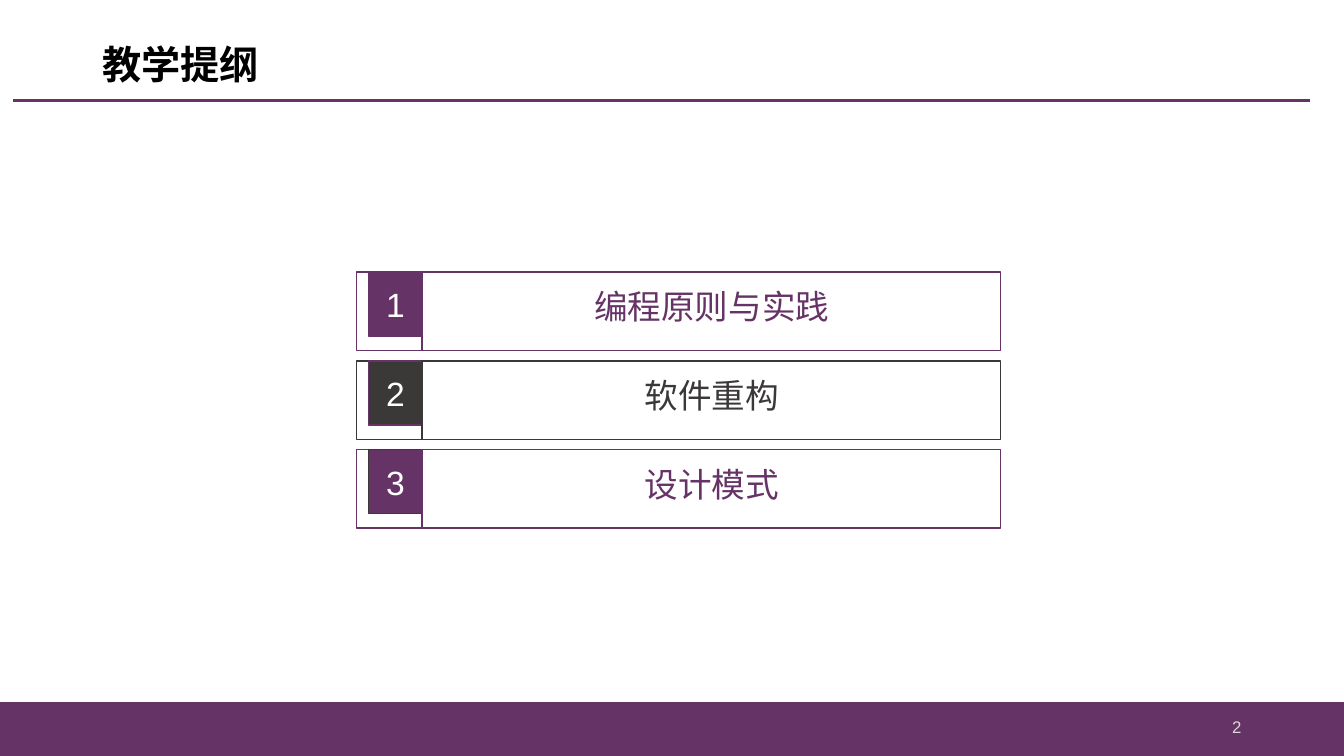
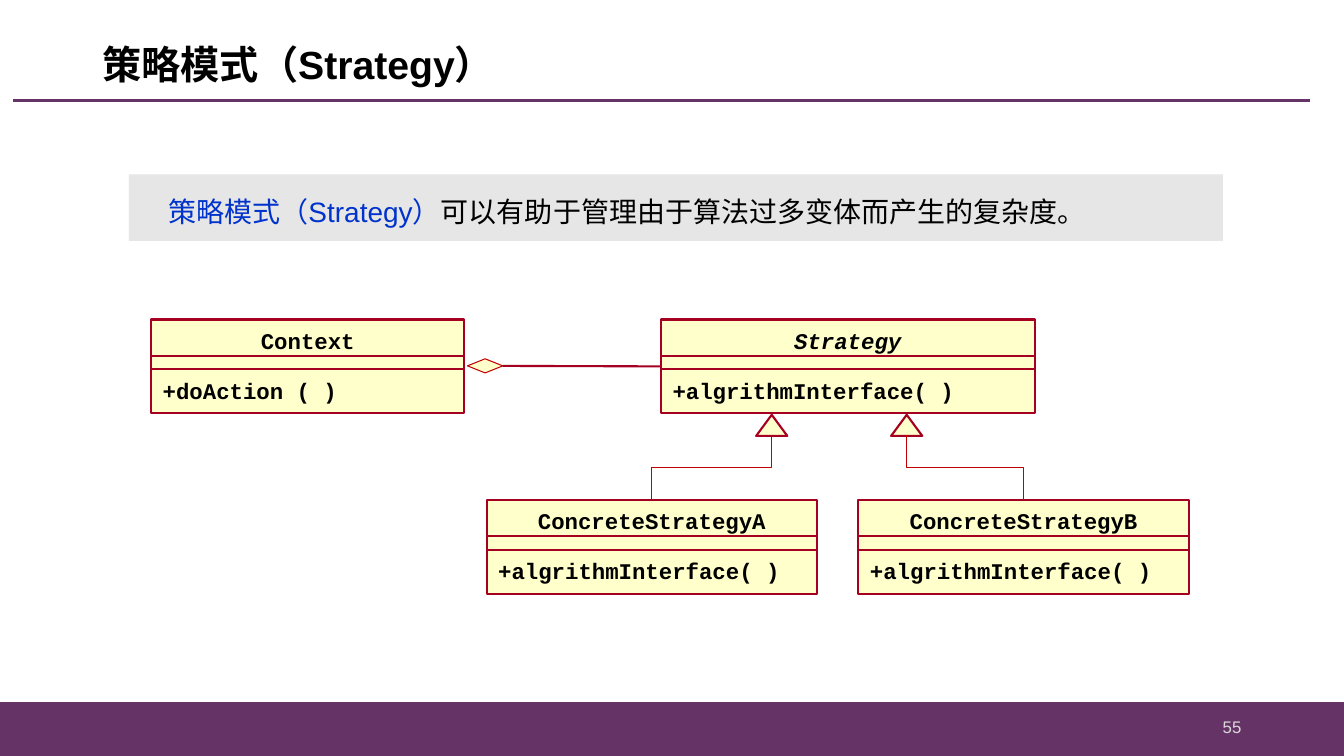
"""Build the teaching outline and Strategy pattern slides on a grid of tenth-inch cells."""
from dataclasses import dataclass

from lxml import etree
from pptx import Presentation
from pptx import util as u
from pptx.dml.color import RGBColor
from pptx.enum import shapes, text
from pptx.oxml import ns

CELL = u.Inches(0.1)
COLUMNS, ROWS = 133.4, 75

PURPLE = RGBColor(0x66, 0x33, 0x66)
CHARCOAL = RGBColor(0x3B, 0x38, 0x38)
BLACK = RGBColor(0x00, 0x00, 0x00)
WHITE = RGBColor(0xFF, 0xFF, 0xFF)
PALE_GREY = RGBColor(0xD9, 0xD9, 0xD9)
PANEL_GREY = RGBColor(0xE7, 0xE6, 0xE6)
CREAM = RGBColor(0xFF, 0xFF, 0xCC)
CRIMSON = RGBColor(0xA5, 0x00, 0x21)
RED = RGBColor(0xC0, 0x00, 0x00)
BLUE = RGBColor(0x00, 0x33, 0xCC)

RECT = shapes.MSO_SHAPE.RECTANGLE
STRAIGHT = shapes.MSO_CONNECTOR.STRAIGHT
ELBOW = shapes.MSO_CONNECTOR.ELBOW
TOP, MIDDLE = text.MSO_ANCHOR.TOP, text.MSO_ANCHOR.MIDDLE
LEFT, CENTER = text.PP_ALIGN.LEFT, text.PP_ALIGN.CENTER
RIGHT, JUSTIFY = text.PP_ALIGN.RIGHT, text.PP_ALIGN.JUSTIFY


@dataclass(frozen=True)
class Area:
    """A rectangle in grid columns and rows."""
    col: float
    row: float
    cols: float
    rows: float


@dataclass(frozen=True)
class Style:
    """How a paragraph is set."""
    size: float
    font: str = "Arial"
    bold: bool = False
    italic: bool = False
    align: text.PP_ALIGN = LEFT
    anchor: text.MSO_ANCHOR = TOP
    spacing: float = 1.0
    inset_x: float = 1.0
    inset_y: float = 0.5


@dataclass(frozen=True)
class Chapter:
    """One row of the outline."""
    name: str
    color: RGBColor
    badge_edge: RGBColor


@dataclass(frozen=True)
class UmlClass:
    """One class box of the diagram."""
    name: str
    method: str
    col: float
    row: float
    cols: float
    abstract: bool = False


@dataclass(frozen=True)
class Inheritance:
    """A path from a base class down to the middle of a subclass."""
    base_col: float
    child_col: float


PAGE_STYLE = Style(12, align=RIGHT, anchor=MIDDLE)
BADGE_STYLE = Style(24, align=CENTER, anchor=MIDDLE)
CHAPTER_STYLE = Style(24, "Calibri", align=CENTER)
METHOD_STYLE = Style(16, "Courier New", bold=True, align=JUSTIFY, inset_x=0, inset_y=0.1)
DEFINITION_STYLE = Style(20, align=JUSTIFY, spacing=1.2, inset_x=3.9, inset_y=1.3)

CHAPTERS = [
    Chapter("编程原则与实践", PURPLE, PURPLE),
    Chapter("软件重构", CHARCOAL, PURPLE),
    Chapter("设计模式", PURPLE, CHARCOAL),
]
CONTEXT = UmlClass("Context", "+doAction ( )", 15, 31.7, 31.1)
STRATEGY = UmlClass("Strategy", "+algrithmInterface( )", 65.6, 31.7, 37.1, abstract=True)
CONCRETE = [
    UmlClass("ConcreteStrategyA", STRATEGY.method, 48.3, 49.6, 32.8),
    UmlClass("ConcreteStrategyB", STRATEGY.method, 85.2, 49.6, 32.8),
]
INHERITANCES = [Inheritance(76.6, 64.7), Inheritance(90, 101.6)]


def cells(count: float) -> u.Emu:
    """Turn grid cells into a length."""
    return u.Emu(round(count * CELL))


def place(area: Area) -> tuple[u.Emu, ...]:
    """Give left, top, width and height of an area."""
    return tuple(cells(n) for n in (area.col, area.row, area.cols, area.rows))


def write(shape, words: list[tuple[str, RGBColor]], style: Style) -> None:
    """Write one paragraph of coloured runs into a shape."""
    frame = shape.text_frame
    frame.word_wrap = True
    frame.vertical_anchor = style.anchor
    frame.margin_left = frame.margin_right = cells(style.inset_x)
    frame.margin_top = frame.margin_bottom = cells(style.inset_y)
    paragraph = frame.paragraphs[0]
    paragraph.alignment = style.align
    paragraph.line_spacing = style.spacing
    for wording, color in words:
        run = paragraph.add_run()
        run.text = wording
        run.font.name, run.font.size = style.font, u.Pt(style.size)
        run.font.bold, run.font.italic = style.bold, style.italic
        run.font.color.rgb = color


def add_label(slide, area: Area, wording: str, color: RGBColor, style: Style) -> None:
    """Add a text box holding one run."""
    write(slide.shapes.add_textbox(*place(area)), [(wording, color)], style)


def add_figure(slide, area: Area, fill: RGBColor | None, edge: RGBColor | None,
               width: float = 1, kind: shapes.MSO_SHAPE = RECT):
    """Add a preset shape with an optional fill and edge."""
    figure = slide.shapes.add_shape(kind, *place(area))
    figure.shadow.inherit = False
    if fill is None:
        figure.fill.background()
    else:
        figure.fill.solid()
        figure.fill.fore_color.rgb = fill
    if edge is None:
        figure.line.fill.background()
    else:
        figure.line.color.rgb = edge
        figure.line.width = u.Pt(width)
    return figure


def add_line(slide, start: tuple[float, float], end: tuple[float, float],
             color: RGBColor, width: float, kind: shapes.MSO_CONNECTOR = STRAIGHT):
    """Add a connector between two grid points."""
    line = slide.shapes.add_connector(kind, *(cells(n) for n in (*start, *end)))
    line.line.color.rgb = color
    line.line.width = u.Pt(width)
    etree.SubElement(line._element.spPr, ns.qn("a:effectLst"))
    return line


def add_page(deck, title: str, number: int, font: str = "Arial"):
    """Add a slide with the shared band, rule, title and page number."""
    slide = deck.slides.add_slide(deck.slide_layouts[6])
    add_figure(slide, Area(0, 69.7, COLUMNS, ROWS - 69.7), PURPLE, PURPLE)
    add_line(slide, (1.3, 10), (130, 10), PURPLE, 2.25)
    title_style = Style(28, font, bold=True, anchor=MIDDLE, spacing=0.9)
    add_label(slide, Area(9.2, 3, 115, 7.3), title, BLACK, title_style)
    add_label(slide, Area(94.2, 70.1, 30, 4), str(number), PALE_GREY, PAGE_STYLE)
    return slide


def add_chapter(slide, index: int, chapter: Chapter) -> None:
    """Draw one numbered row of the outline."""
    row = 27 + 8.8 * index
    add_figure(slide, Area(35.4, row, 6.5, 7.8), None, chapter.color)
    badge = add_figure(slide, Area(36.6, row, 5.3, 6.35), chapter.color, chapter.badge_edge)
    write(badge, [(str(index + 1), WHITE)], BADGE_STYLE)
    add_label(slide, Area(51.6, row + 0.9, 38.1, 5), chapter.name, chapter.color, CHAPTER_STYLE)
    add_figure(slide, Area(41.9, row, 57.4, 7.8), None, chapter.color)


def add_class(slide, uml: UmlClass):
    """Draw a class box with its name, two dividers and method."""
    box = add_figure(slide, Area(uml.col, uml.row, uml.cols, 9.3), CREAM, CRIMSON, 1.5)
    name_style = Style(16, "Courier New", bold=True, italic=uml.abstract,
                       align=CENTER, spacing=1.1)
    write(box, [(uml.name, BLACK)], name_style)
    for offset in (3.6, 4.95):
        divider = uml.row + offset
        add_line(slide, (uml.col, divider), (uml.col + uml.cols, divider), CRIMSON, 1.5)
    method_area = Area(uml.col + 1.15, uml.row + 5.6, uml.cols - 2.3, 3)
    add_label(slide, method_area, uml.method, BLACK, METHOD_STYLE)
    return box


def add_inheritance(slide, path: Inheritance) -> None:
    """Draw a triangle head and an elbow that leaves it downwards."""
    add_figure(slide, Area(path.base_col - 1.55, 41.15, 3.1, 2.1), CREAM, CRIMSON, 1.5,
               shapes.MSO_SHAPE.ISOSCELES_TRIANGLE)
    top, bottom = 43.2, 49.6
    mid_col, mid_row = (path.base_col + path.child_col) / 2, (top + bottom) / 2
    side = 1 if path.child_col > path.base_col else -1
    half_drop = side * (bottom - top) / 2
    half_run = abs(path.child_col - path.base_col) / 2
    elbow = add_line(slide, (mid_col + half_drop, mid_row - half_run),
                     (mid_col - half_drop, mid_row + half_run), RED, 0.75, ELBOW)
    elbow._element.spPr.find(ns.qn("a:xfrm")).set("rot", str(-side * 90 % 360 * 60000))


def build_outline(deck) -> None:
    """Build the outline slide."""
    slide = add_page(deck, "教学提纲", 2, "Calibri")
    for index, chapter in enumerate(CHAPTERS):
        add_chapter(slide, index, chapter)


def build_strategy(deck) -> None:
    """Build the Strategy pattern slide."""
    title = "策略模式（Strategy）"
    slide = add_page(deck, title, 55)
    definition = add_figure(slide, Area(12.8, 17.3, 108.6, 6.6), PANEL_GREY, None)
    write(definition, [(title, BLUE), ("可以有助于管理由于算法过多变体而产生的复杂度。", BLACK)],
          DEFINITION_STYLE)
    add_class(slide, CONTEXT)
    strategy_box = add_class(slide, STRATEGY)
    for concrete in CONCRETE:
        add_class(slide, concrete)
    for path in INHERITANCES:
        add_inheritance(slide, path)
    diamond = add_figure(slide, Area(46.4, 35.6, 3.5, 1.4), CREAM, RED, 0.75,
                         shapes.MSO_SHAPE.DIAMOND)
    aggregation = add_line(slide, (49.9, 36.3), (STRATEGY.col, 36.35), CRIMSON, 1.5)
    aggregation.begin_connect(diamond, 3)
    aggregation.end_connect(strategy_box, 1)


def main() -> None:
    """Build and save the deck."""
    deck = Presentation()
    deck.slide_width, deck.slide_height = cells(COLUMNS), cells(ROWS)
    build_outline(deck)
    build_strategy(deck)
    deck.save("out.pptx")


if __name__ == "__main__":
    main()
